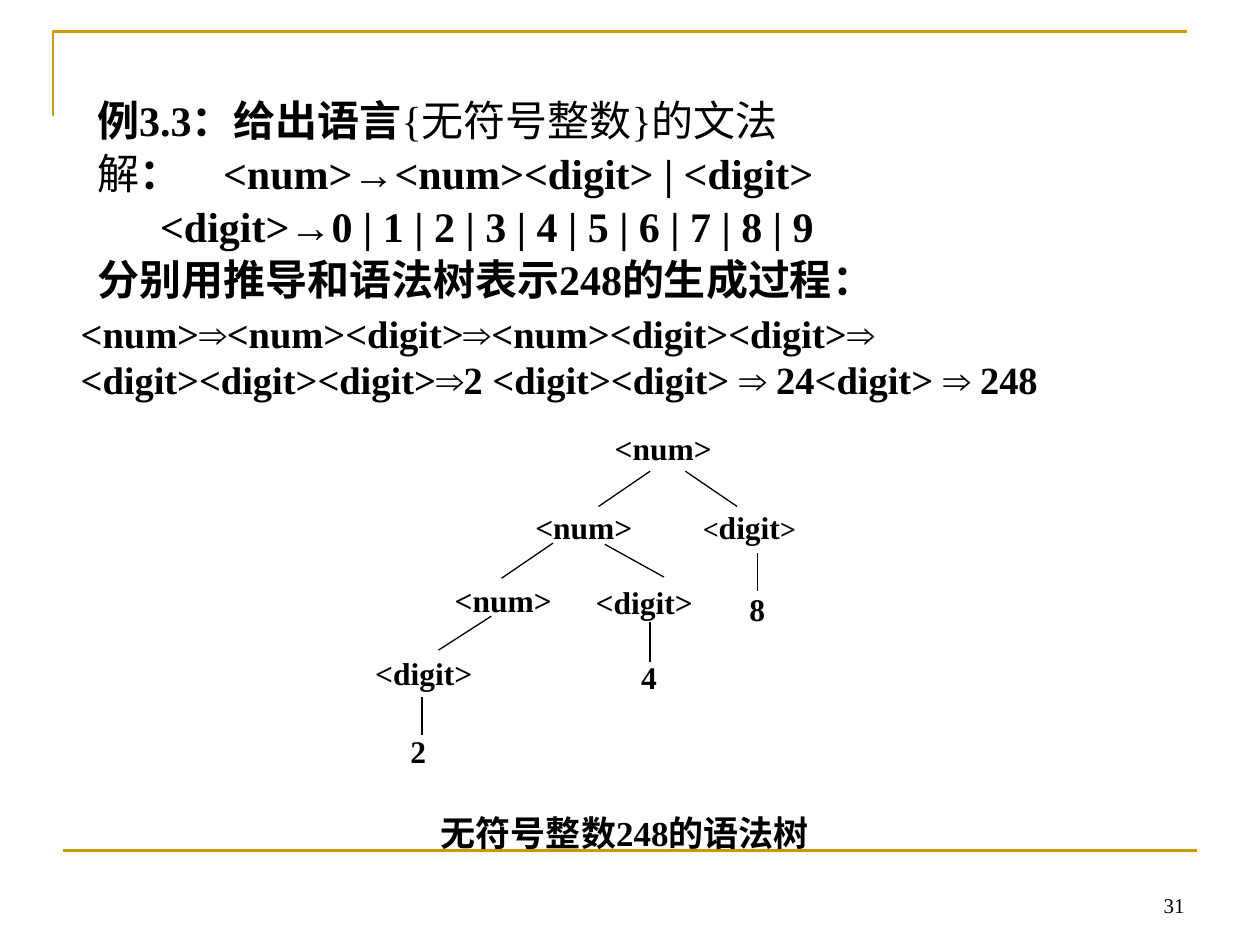
from dataclasses import dataclass
from typing import NamedTuple

from lxml import etree
from pptx import Presentation
from pptx.dml.color import RGBColor
from pptx.enum.shapes import MSO_CONNECTOR
from pptx.enum.text import MSO_ANCHOR, MSO_AUTO_SIZE, PP_ALIGN
from pptx.oxml.ns import qn
from pptx.util import Inches, Pt

LEFT, CENTER, RIGHT = PP_ALIGN.LEFT, PP_ALIGN.CENTER, PP_ALIGN.RIGHT
TOP, MIDDLE, BOTTOM = MSO_ANCHOR.TOP, MSO_ANCHOR.MIDDLE, MSO_ANCHOR.BOTTOM
NO_AUTOFIT = MSO_AUTO_SIZE.NONE
STRAIGHT = MSO_CONNECTOR.STRAIGHT


@dataclass(frozen=True)
class Theme:
    font: str = "Times New Roman"
    ink: RGBColor = RGBColor(0x00, 0x00, 0x00)
    gold: RGBColor = RGBColor(0xCC, 0x99, 0x00)
    statement: int = 24
    derivation: int = 22
    caption: int = 20
    node: int = 18
    small_bracket: int = 16
    page_number: int = 12
    frame_line: float = 1.5
    branch_line: float = 0.75


THEME = Theme()


class Span(NamedTuple):
    text: str
    size: int
    bold: bool = True


class Line(NamedTuple):
    spans: list[Span]
    tab: float = 0


class Box(NamedTuple):
    left: float
    top: float
    width: float
    height: float


class Node(NamedTuple):
    left: float
    top: float
    spans: list[Span]


class Branch(NamedTuple):
    start: tuple[float, float]
    end: tuple[float, float]


def place(shape, box: Box) -> None:
    for name, value in box._asdict().items():
        setattr(shape, name, Inches(value))


def write(shape, lines: list[Line], align=LEFT, anchor=TOP, spacing: float = 1.0) -> None:
    frame = shape.text_frame
    frame_format = {"word_wrap": True, "auto_size": NO_AUTOFIT, "vertical_anchor": anchor}
    for name, value in frame_format.items():
        setattr(frame, name, value)
    for index, line in enumerate(lines):
        paragraph = frame.paragraphs[0] if index == 0 else frame.add_paragraph()
        properties = paragraph._p.get_or_add_pPr()
        properties.set("marL", "0")
        properties.set("indent", "0")
        etree.SubElement(properties, qn("a:buNone"))
        if line.tab:
            tabs = etree.SubElement(properties, qn("a:tabLst"))
            etree.SubElement(tabs, qn("a:tab"), pos=str(Inches(line.tab)), algn="l")
        paragraph_format = {"alignment": align, "line_spacing": spacing, "space_before": Pt(0)}
        for name, value in paragraph_format.items():
            setattr(paragraph, name, value)
        for span in line.spans:
            run = paragraph.add_run()
            run.text = span.text
            font_format = {"name": THEME.font, "size": Pt(span.size), "bold": span.bold}
            for name, value in font_format.items():
                setattr(run.font, name, value)
            run.font.color.rgb = THEME.ink


def add_text(slide, box: Box, spans: list[Span], align=LEFT, anchor=TOP) -> None:
    shape = slide.shapes.add_textbox(*(Inches(value) for value in box))
    write(shape, [Line(spans)], align, anchor)


def add_line(slide, branch: Branch, color: RGBColor, width: float) -> None:
    points = (Inches(value) for value in branch.start + branch.end)
    connector = slide.shapes.add_connector(STRAIGHT, *points)
    connector.line.color.rgb = color
    connector.line.width = Pt(width)
    etree.SubElement(connector._element.spPr, qn("a:effectLst"))


def add_corner(slide) -> None:
    builder = slide.shapes.build_freeform(Inches(0.42), Inches(0.92))
    corner_points = [(Inches(0.42), Inches(0.25)), (Inches(9.42), Inches(0.25))]
    builder.add_line_segments(corner_points, close=False)
    corner = builder.convert_to_shape()
    corner.shadow.inherit = False
    corner.fill.background()
    corner.line.color.rgb = THEME.gold
    corner.line.width = Pt(THEME.frame_line)


def symbol(text: str) -> list[Span]:
    return [Span(text, THEME.node)]


STATEMENT = [
    Line([Span("例3.3：给出语言", THEME.statement),
          Span("{无符号整数}的文法", THEME.statement, False)]),
    Line([Span("解", THEME.statement, False),
          Span("：\t<num>→<num><digit> | <digit>", THEME.statement)], 1.05),
    Line([Span("\t<digit>→0 | 1 | 2 | 3 | 4 | 5 | 6 | 7 | 8 | 9", THEME.statement)], 1),
    Line([Span("分别用推导和语法树表示248的生成过程：", THEME.statement)]),
]
DERIVATION = [
    Line([Span(text, THEME.derivation)])
    for text in ("<num>⇒<num><digit>⇒<num><digit><digit>⇒",
                 "<digit><digit><digit>⇒2 <digit><digit> ⇒ 24<digit> ⇒ 248")
]
NODE_WIDTH, NODE_HEIGHT = 1.1, 0.4
NODES = [
    Node(4.78, 3.36, symbol("<num>")),
    Node(4.15, 3.98, symbol("<num>")),
    Node(5.48, 3.98, [Span("<", THEME.small_bracket), Span("digit", THEME.node),
                      Span(">", THEME.small_bracket)]),
    Node(3.51, 4.56, symbol("<num>")),
    Node(4.63, 4.58, symbol("<digit>")),
    Node(5.85, 4.63, symbol("8")),
    Node(2.88, 5.14, symbol("<digit>")),
    Node(4.99, 5.17, symbol("4")),
    Node(3.16, 5.76, symbol("2")),
]
BRANCHES = [
    Branch((5.16, 3.74), (4.75, 4.02)),
    Branch((5.44, 3.74), (5.85, 4.02)),
    Branch((4.39, 4.31), (3.98, 4.59)),
    Branch((4.8, 4.32), (5.27, 4.58)),
    Branch((3.9, 4.89), (3.48, 5.16)),
    Branch((6.01, 4.39), (6.01, 4.69)),
    Branch((5.16, 4.94), (5.16, 5.25)),
    Branch((3.35, 5.53), (3.35, 5.83)),
]


def main() -> None:
    presentation = Presentation()
    presentation.slide_width, presentation.slide_height = Inches(10), Inches(7.5)
    slide = presentation.slides.add_slide(presentation.slide_layouts[1])

    # Gold frame and page number
    add_corner(slide)
    add_line(slide, Branch((0.5, 6.75), (9.5, 6.75)), THEME.gold, THEME.frame_line)
    add_text(slide, Box(7.17, 6.83, 2.33, 0.5),
             [Span("31", THEME.page_number, False)], RIGHT, BOTTOM)

    # Grammar and derivation
    title, body = slide.shapes.title, slide.placeholders[1]
    place(title, Box(0.67, 0.68, 7.72, 1.78))
    write(title, STATEMENT, anchor=MIDDLE, spacing=1.05)
    place(body, Box(0.54, 2.41, 8.51, 0.83))
    write(body, DERIVATION, anchor=MIDDLE)

    # Syntax tree
    for node in NODES:
        add_text(slide, Box(node.left, node.top, NODE_WIDTH, NODE_HEIGHT), node.spans)
    for branch in BRANCHES:
        add_line(slide, branch, THEME.ink, THEME.branch_line)
    add_text(slide, Box(2.4, 6.39, 5.12, 0.41),
             [Span("无符号整数248的语法树", THEME.caption)], CENTER)

    presentation.save("out.pptx")


if __name__ == "__main__":
    main()
